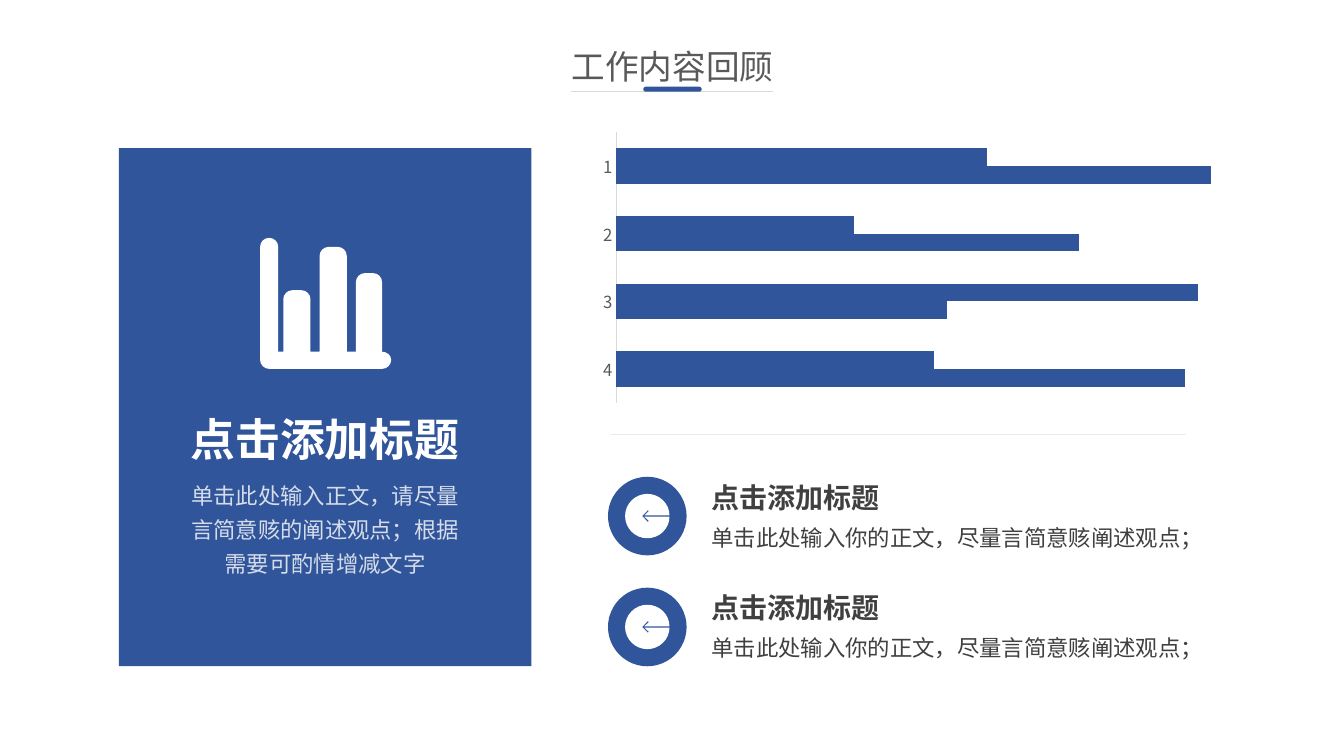
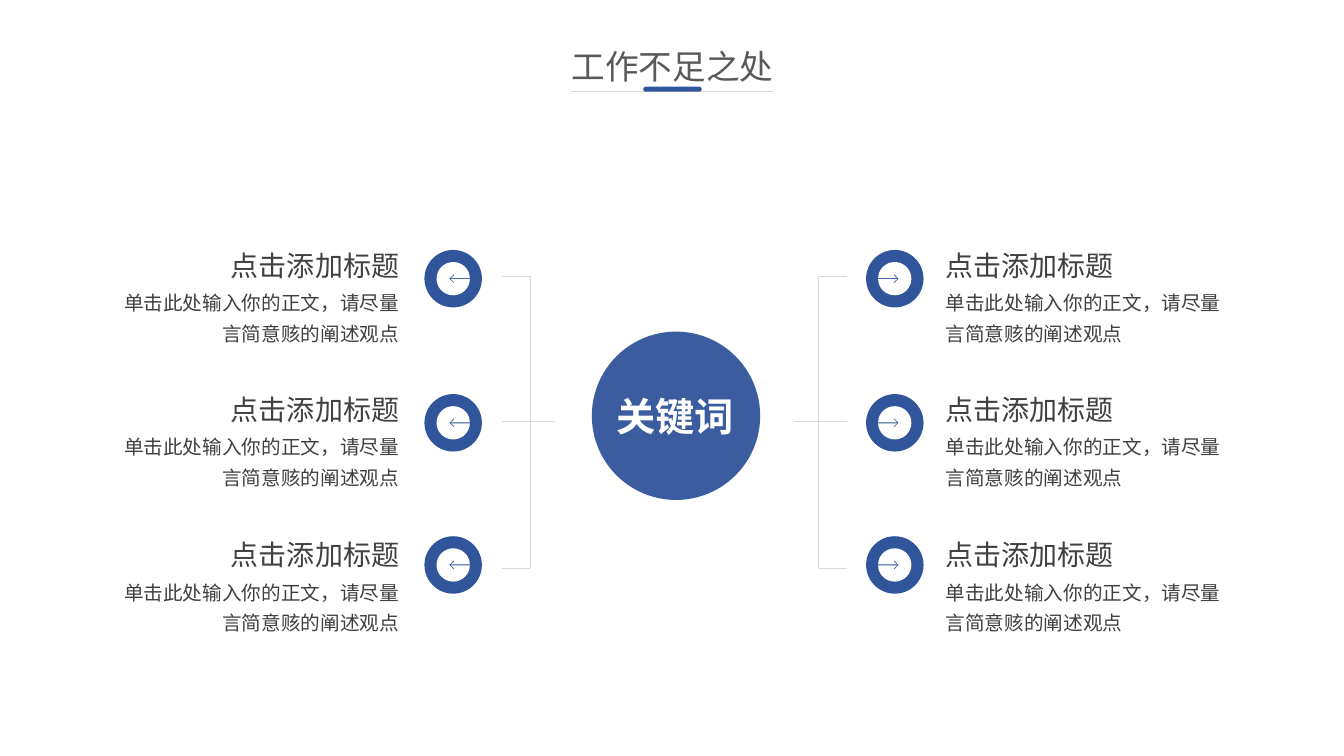
from lxml import etree
from pptx import Presentation
from pptx.chart.data import CategoryChartData
from pptx.dml.color import RGBColor
from pptx.enum.chart import XL_CHART_TYPE, XL_TICK_LABEL_POSITION, XL_TICK_MARK
from pptx.enum.shapes import MSO_CONNECTOR, MSO_SHAPE
from pptx.enum.text import MSO_ANCHOR, MSO_AUTO_SIZE, PP_ALIGN
from pptx.oxml import parse_xml
from pptx.oxml.ns import nsdecls, qn
from pptx.util import Inches, Pt

RECTANGLE, OVAL, ROUNDED = MSO_SHAPE.RECTANGLE, MSO_SHAPE.OVAL, MSO_SHAPE.ROUNDED_RECTANGLE
LEFT, CENTER, RIGHT = PP_ALIGN.LEFT, PP_ALIGN.CENTER, PP_ALIGN.RIGHT
TOP, BOTTOM = MSO_ANCHOR.TOP, MSO_ANCHOR.BOTTOM

FONT = "Noto Sans CJK SC"
BLUE, WHITE, RULE = "31559A", "FFFFFF", "D9D9D9"
DARK, GRAY = "404040", "595959"

ITEM_TITLE = "点击添加标题"

REVIEW = {
    "title": "工作内容回顾",
    "panel": "单击此处输入正文，请尽量言简意赅的阐述观点；根据需要可酌情增减文字",
    "points": [(ITEM_TITLE, "单击此处输入你的正文，尽量言简意赅阐述观点；")] * 2,
    "categories": ["4", "3", "2", "1"],
    "series": [("Series 1", (4.3, 2.5, 3.5, 4.5)), ("Series 2", (2.4, 4.4, 1.8, 2.8))],
    "axis_maximum": 5,
    "plot_percent": {"x": 5, "y": 5.4, "w": 92.9, "h": 94.6},
}
SHORTCOMINGS = {
    "title": "工作不足之处",
    "keyword": "关键词",
    "points": [(ITEM_TITLE, "单击此处输入你的正文，请尽量言简意赅的阐述观点")] * 3,
    "badge_tops": [2.48, 3.91, 5.32],
    "text_tops": [2.35, 3.78, 5.22],
    "sides": [
        {"direction": -1, "badge_left": 4.21, "spine": 5.26, "text_edge": 4.08},
        {"direction": 1, "badge_left": 8.59, "spine": 8.12, "text_edge": 9.26},
    ],
}

# Outlines list line ends as (x, y) and rounded corners as (corner x, corner y, x, y).
# A disc of radius 1 with an arrow to the right cut out of it:
ARROW_DISC = [
    (0, 1), (1, 1, 1, 0), (1, -1, 0, -1), (-1, -1, -1, -0.03),
    (0.13, -0.03), (-0.07, -0.22), (-0.03, -0.27), (0.23, 0),
    (-0.03, 0.27), (-0.07, 0.22), (0.13, 0.03), (-1, 0.03), (-1, 1, 0, 1),
]
ICON_BARS = [(0.95, 1.21, 0.35), (0.59, 0.86, 0.09), (0.23, 0.5, 0.52)]
ICON_FRAME = [
    (0.18, 1.13), (0.18, 0.09), (0.18, 0, 0.09, 0), (0, 0, 0, 0.09),
    (0, 1.21), (0, 1.3, 0.09, 1.3), (1.21, 1.3),
    (1.3, 1.3, 1.3, 1.21), (1.3, 1.13, 1.21, 1.13),
]


def color(hex_string):
    return RGBColor.from_string(hex_string)


def set_alpha(fill, percent):
    """Make a solid fill see-through; percent is its opacity."""
    if percent < 100:
        element = fill._xPr.find(qn("a:solidFill"))[0]
        etree.SubElement(element, qn("a:alpha")).set("val", str(percent * 1000))


def paint(shape, fill_color, alpha=100):
    shape.shadow.inherit = False
    shape.fill.solid()
    shape.fill.fore_color.rgb = color(fill_color)
    set_alpha(shape.fill, alpha)
    shape.line.fill.background()


def add_box(slide, kind, left, top, width, height, fill_color, radius=None, alpha=100):
    shape = slide.shapes.add_shape(
        kind, Inches(left), Inches(top), Inches(width), Inches(height))
    if radius is not None:
        shape.adjustments[0] = radius
    paint(shape, fill_color, alpha)


def add_outline(slide, outline, left, top, fill_color, scale_x=1, scale_y=1):
    """Draw a closed outline whose rounded corners become Bezier curves."""
    points, curve_starts = [outline[0]], []
    for step in outline[1:]:
        start, end = points[-1], step[-2:]
        if len(step) == 4:
            curve_starts.append(len(points))
            points += [tuple(a + 0.55 * (c - a) for a, c in zip(anchor, step[:2]))
                       for anchor in (start, end)]
        points.append(end)
    placed = [(Inches(left + scale_x * x), Inches(top + scale_y * y)) for x, y in points]
    builder = slide.shapes.build_freeform(*placed[0])
    builder.add_line_segments(placed[1:], close=True)
    shape = builder.convert_to_shape()
    outline_element = next(shape._element.iter(qn("a:path")))
    steps = list(outline_element)
    for index in curve_starts:
        curve = etree.Element(qn("a:cubicBezTo"))
        steps[index].addprevious(curve)
        for line in steps[index:index + 3]:
            curve.append(line[0])
            outline_element.remove(line)
    paint(shape, fill_color)


def add_text(slide, text, left, top, width, height, size=16, text_color=DARK, bold=False,
             align=LEFT, anchor=TOP, wrap=False, spacing=None, margin=None, alpha=100):
    box = slide.shapes.add_textbox(
        Inches(left), Inches(top), Inches(width), Inches(height))
    frame = box.text_frame
    frame.word_wrap = wrap
    frame.auto_size = MSO_AUTO_SIZE.SHAPE_TO_FIT_TEXT
    frame.vertical_anchor = anchor
    if margin is not None:
        frame.margin_left = frame.margin_right = Inches(margin)
        frame.margin_top = frame.margin_bottom = Inches(margin)
    paragraph = frame.paragraphs[0]
    paragraph.alignment = align
    paragraph.line_spacing = spacing
    run = paragraph.add_run()
    run.text = text
    font = run.font
    font.name, font.size, font.bold = FONT, Pt(size), bold
    font.color.rgb = color(text_color)
    set_alpha(font.fill, alpha)
    etree.SubElement(run._r.get_or_add_rPr(), qn("a:ea")).set("typeface", FONT)


def add_line(shapes, x1, y1, x2, y2, alpha=100):
    line = shapes.add_connector(
        MSO_CONNECTOR.STRAIGHT, Inches(x1), Inches(y1), Inches(x2), Inches(y2))
    line.line.width = Pt(0.5)
    line.line.fill.solid()
    line.line.color.rgb = color(RULE)
    set_alpha(line.line.fill, alpha)
    etree.SubElement(line._element.spPr, qn("a:effectLst"))


def add_badge(slide, left, top, diameter, hole, direction):
    """Blue disc with a white centre, out of which an arrow is cut."""
    add_box(slide, OVAL, left, top, diameter, diameter, BLUE)
    add_outline(slide, ARROW_DISC, left + diameter / 2, top + diameter / 2, WHITE,
                scale_x=direction * hole / 2, scale_y=hole / 2)


def add_slide(presentation):
    slide = presentation.slides.add_slide(presentation.slide_layouts[6])
    slide.background.fill.solid()
    slide.background.fill.fore_color.rgb = color(WHITE)
    return slide


def add_header(slide, title):
    add_text(slide, title, 5.56, 0.41, 2.22, 0.5, size=24, text_color=GRAY, align=CENTER)
    add_line(slide.shapes, 7.67, 0.91, 5.66, 0.91)
    add_box(slide, ROUNDED, 6.38, 0.86, 0.58, 0.05, BLUE, radius=0.5)


def add_bar_chart(slide, content):
    data = CategoryChartData()
    data.categories = content["categories"]
    for name, values in content["series"]:
        data.add_series(name, values)
    chart = slide.shapes.add_chart(
        XL_CHART_TYPE.BAR_CLUSTERED,
        Inches(5.76), Inches(1.16), Inches(7.06), Inches(2.84), data).chart
    chart.has_legend = chart.has_title = False
    chart.font.name, chart.font.size = FONT, Pt(10)

    category_axis = chart.category_axis
    category_axis.major_tick_mark = XL_TICK_MARK.NONE
    category_axis.tick_label_position = XL_TICK_LABEL_POSITION.NEXT_TO_AXIS
    category_axis.format.line.width = Pt(0.75)
    category_axis.format.line.color.rgb = color(RULE)
    label_font = category_axis.tick_labels.font
    label_font.name, label_font.size = FONT, Pt(11.9)
    label_font.color.rgb = color(GRAY)

    value_axis = chart.value_axis
    value_axis.visible = value_axis.has_major_gridlines = False
    value_axis.minimum_scale, value_axis.maximum_scale = 0, content["axis_maximum"]

    plot = chart.plots[0]
    plot.gap_width, plot.overlap, plot.vary_by_categories = 182, 0, False
    for series in plot.series:
        series.format.fill.solid()
        series.format.fill.fore_color.rgb = color(BLUE)

    plot_area = chart._chartSpace.chart.plotArea
    for layout in plot_area.findall(qn("c:layout")):
        plot_area.remove(layout)
    modes = '<c:layoutTarget val="inner"/><c:xMode val="edge"/><c:yMode val="edge"/>'
    sizes = "".join(f'<c:{key} val="{percent / 100:.3f}"/>'
                    for key, percent in content["plot_percent"].items())
    plot_area.insert(0, parse_xml(
        f'<c:layout {nsdecls("c")}><c:manualLayout>{modes}{sizes}'
        "</c:manualLayout></c:layout>"))


def add_bars_icon(slide, left, top):
    base, radius = 1.13, 0.09
    outline = []
    for bar_left, bar_right, bar_top in ICON_BARS:
        outline += [
            (bar_right, base), (bar_right, bar_top + radius),
            (bar_right, bar_top, bar_right - radius, bar_top),
            (bar_left + radius, bar_top),
            (bar_left, bar_top, bar_left, bar_top + radius), (bar_left, base),
        ]
    add_outline(slide, outline + ICON_FRAME, left, top, WHITE)


def build_review(presentation, content):
    slide = add_slide(presentation)
    add_bar_chart(slide, content)
    for row, (title, body) in enumerate(content["points"]):
        text_top = 4.72 + row * 1.09
        add_badge(slide, 6.03, 4.73 + row * 1.1, 0.78, 0.44, direction=-1)
        add_text(slide, title, 6.96, text_top, 1.93, 0.44, size=20, bold=True)
        add_text(slide, body, 6.96, text_top + 0.42, 5.14, 0.37, spacing=Pt(20))
    add_line(slide.shapes, 6.06, 4.31, 11.76, 4.31, alpha=50)

    add_box(slide, RECTANGLE, 1.18, 1.47, 4.09, 5.14, BLUE)
    add_bars_icon(slide, 2.58, 2.36)
    add_text(slide, content["panel"], 1.78, 4.67, 2.89, 1.08, text_color=WHITE,
             align=CENTER, wrap=True, spacing=Pt(24), alpha=80)
    add_text(slide, ITEM_TITLE, 1.74, 4.04, 2.97, 0.64, size=32, text_color=WHITE,
             bold=True, align=CENTER)
    add_header(slide, content["title"])


def add_bracket(slide, spine, direction):
    top, middle, bottom = 2.74, 4.18, 5.64
    outer, inner = spine + direction * 0.28, spine - direction * 0.24
    shapes = slide.shapes.add_group_shape().shapes
    add_line(shapes, spine, top, spine, bottom)
    add_line(shapes, outer, middle, inner, middle)
    for y in (top, bottom):
        add_line(shapes, outer, y, spine, y)


def build_shortcomings(presentation, content):
    slide = add_slide(presentation)
    for side in content["sides"]:
        for top in content["badge_tops"]:
            add_badge(slide, side["badge_left"], top, 0.57, 0.33, side["direction"])
        add_bracket(slide, side["spine"], side["direction"])

    add_box(slide, OVAL, 5.87, 3.29, 1.67, 1.67, BLUE, alpha=95)
    add_text(slide, content["keyword"], 5.99, 3.84, 1.41, 0.57, size=28,
             text_color=WHITE, bold=True, align=CENTER)

    for side in reversed(content["sides"]):
        on_right, edge = side["direction"] > 0, side["text_edge"]
        for (title, body), text_top in zip(content["points"], content["text_tops"]):
            for text, top, width, height, style in (
                (title, text_top, 2.48, 0.57, {"size": 20, "anchor": BOTTOM}),
                (body, text_top + 0.35, 3.07, 0.83, {"size": 14, "spacing": 1.3}),
            ):
                left = edge if on_right else edge - width
                add_text(slide, text, left, top, width, height, wrap=True, margin=0.12,
                         align=LEFT if on_right else RIGHT, **style)
    add_header(slide, content["title"])


def main():
    presentation = Presentation()
    presentation.slide_width, presentation.slide_height = Inches(13.33), Inches(7.5)
    build_review(presentation, REVIEW)
    build_shortcomings(presentation, SHORTCOMINGS)
    presentation.save("out.pptx")


if __name__ == "__main__":
    main()
